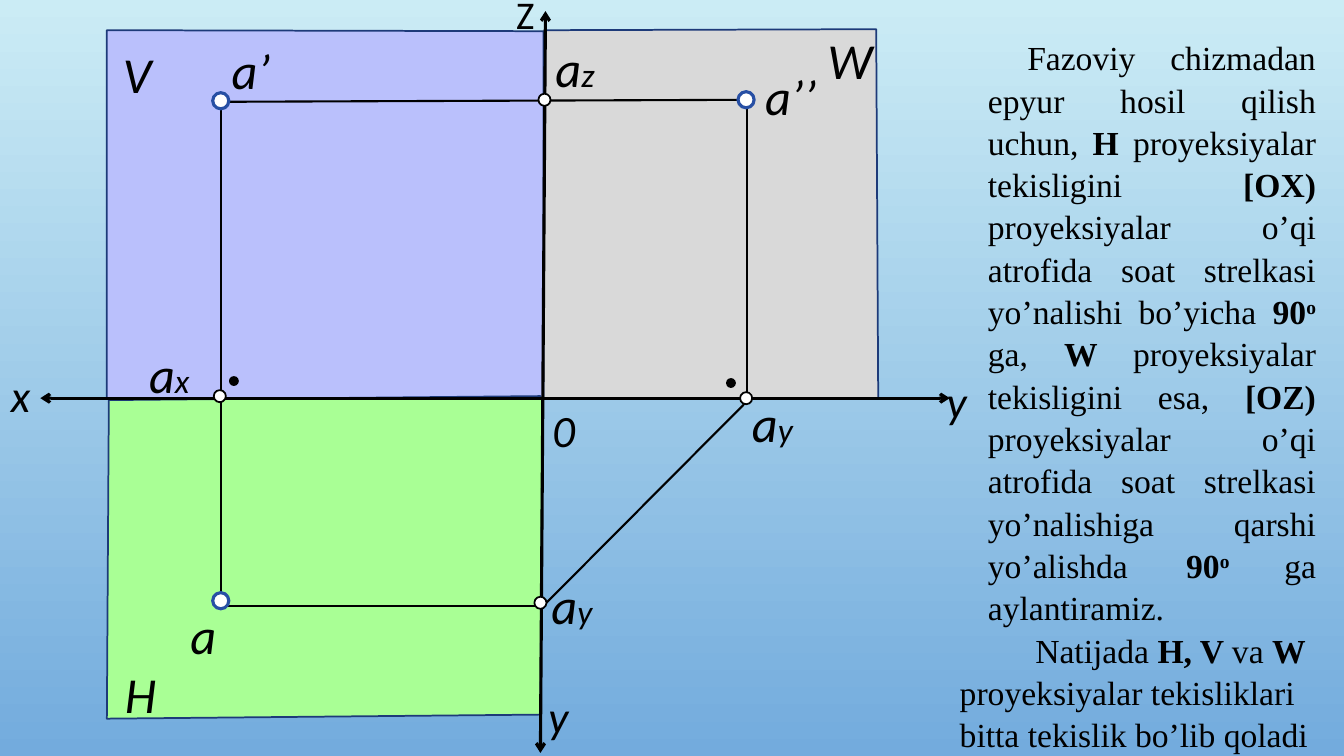
from dataclasses import dataclass
from typing import NamedTuple

from lxml import etree
from pptx import Presentation
from pptx import util as u
from pptx.dml.color import RGBColor
from pptx.enum import shapes, text
from pptx.oxml import ns

PX = 9144  # one px is a hundredth of an inch


@dataclass(frozen=True)
class Theme:
    sky: str = "CBECF5"
    sea: str = "73ABDD"
    ink: str = "000000"
    white: str = "FFFFFF"
    blue: str = "274FA4"
    edge: str = "1D3A79"
    lilac: str = "BAC0FC"
    green: str = "A9FF95"
    grey: str = "D9D9D9"
    sans: str = "Calibri"
    serif: str = "Times New Roman"
    body: int = 24
    small: int = 28
    axis: int = 32
    point: int = 36


T = Theme()


class Plane(NamedTuple):
    fill: str
    dots: list


class Line(NamedTuple):
    x1: int
    y1: int
    x2: int
    y2: int
    axis: bool = False


class Dot(NamedTuple):
    x: int
    y: int
    size: int
    fill: str
    edge: str
    width: float


class Label(NamedTuple):
    x: int
    y: int
    w: int
    h: int
    main: str
    sub: str = ""
    size: int = T.point
    slant: bool = True


PLANES = [
    Plane(T.lilac, [(106, 30), (539, 31), (539, 396), (106, 396)]),
    Plane(T.green, [(108, 397), (536, 393), (538, 398), (536, 709), (106, 713)]),
    Plane(T.grey, [(540, 30), (869, 29), (871, 395), (539, 395)]),
]
LINES = [
    Line(40, 395, 942, 395, True),
    Line(536, 747, 541, 11, True),
    Line(219, 601, 219, 99),
    Line(219, 601, 537, 601),
    Line(537, 603, 742, 397),
    Line(748, 99, 220, 101),
    Line(741, 397, 741, 102),
]
RINGS = [Dot(x, y, 16, T.white, T.blue, 2.25)
         for x, y in [(211, 92), (211, 588), (732, 91)]]
NODES = [Dot(x, y, 12, T.white, T.ink, 1.25)
         for x, y in [(734, 389), (534, 93), (212, 387), (530, 592)]]
MARKS = [Dot(x, y, 8, T.ink, T.ink, 1.25) for x, y in [(228, 374), (721, 376)]]
LABELS = [
    Label(1, 360, 40, 64, "x", size=T.axis),
    Label(502, -15, 89, 57, "Z", size=T.small, slant=False),
    Label(534, 678, 80, 64, "y", size=T.axis),
    Label(538, 395, 89, 64, "0", size=T.axis),
    Label(929, 366, 48, 64, "y", size=T.axis),
    Label(179, 594, 59, 71, "a"),
    Label(220, 34, 59, 71, "a’"),
    Label(749, 60, 83, 71, "a’’"),
    Label(112, 38, 51, 71, "V"),
    Label(114, 653, 55, 71, "H"),
    Label(811, 24, 66, 71, "W"),
    Label(537, 565, 102, 71, "a", "y"),
    Label(736, 384, 72, 71, "a", "y"),
    Label(138, 335, 71, 71, "a", "х"),
    Label(541, 32, 72, 71, "a", "z"),
]

# Stars switch bold on and off; a caret opens and closes a superscript
STORY = [
    "Fazoviy chizmadan epyur hosil qilish uchun, *H *proyeksiyalar tekisligini "
    "*[OX) *proyeksiyalar o’qi atrofida soat strelkasi yo’nalishi bo’yicha "
    "*90^o ^*ga, *W *proyeksiyalar tekisligini esa, *[OZ) *proyeksiyalar o’qi "
    "atrofida soat strelkasi yo’nalishiga qarshi yo’alishda *90^o ^*ga aylantiramiz.",
    "Natijada *H, V *va *W *proyeksiyalar tekisliklari bitta tekislik bo’lib qoladi",
]


def rgb(code: str) -> RGBColor:
    return RGBColor.from_string(code)


def paint(shape, fill: str, edge: str, width: float) -> None:
    shape.shadow.inherit = False
    shape.fill.solid()
    shape.fill.fore_color.rgb = rgb(fill)
    shape.line.color.rgb = rgb(edge)
    shape.line.width = u.Pt(width)


def draw_plane(slide, plane: Plane) -> None:
    path = slide.shapes.build_freeform(*plane.dots[0], scale=PX)
    path.add_line_segments(plane.dots[1:], close=True)
    paint(path.convert_to_shape(), plane.fill, T.edge, 1.25)


def draw_line(slide, line: Line) -> None:
    ends = [v * PX for v in line[:4]]
    link = slide.shapes.add_connector(shapes.MSO_CONNECTOR.STRAIGHT, *ends)
    link.line.color.rgb = rgb(T.ink)
    link.line.width = u.Pt(2.25 if line.axis else 1.5)
    if line.axis:
        stroke = link.line._get_or_add_ln()
        for tip in ("a:headEnd", "a:tailEnd"):
            etree.SubElement(stroke, ns.qn(tip), type="arrow")
    etree.SubElement(link._element.spPr, ns.qn("a:effectLst"))


def draw_dot(slide, dot: Dot) -> None:
    box = [v * PX for v in (dot.x, dot.y, dot.size, dot.size)]
    oval = slide.shapes.add_shape(shapes.MSO_SHAPE.OVAL, *box)
    paint(oval, dot.fill, dot.edge, dot.width)


def add_box(slide, x: int, y: int, w: int, h: int):
    box = slide.shapes.add_textbox(x * PX, y * PX, w * PX, h * PX)
    box.text_frame.word_wrap = True
    return box.text_frame


def add_run(para, words: str, face: str, size: int):
    run = para.add_run()
    run.text = words
    run.font.name = face
    run.font.size = u.Pt(size)
    run.font.color.rgb = rgb(T.ink)
    return run


def draw_label(slide, label: Label) -> None:
    para = add_box(slide, *label[:4]).paragraphs[0]
    for words, size in ((label.main, label.size), (label.sub, T.body)):
        if words:
            add_run(para, words, T.sans, size).font.italic = label.slant


def draw_story(slide) -> None:
    frame = add_box(slide, 942, 30, 381, 697)
    first, last = frame.paragraphs[0], frame.add_paragraph()
    first.alignment = text.PP_ALIGN.JUSTIFY
    for para, words, left, right, indent in (
            (first, STORY[0], 28, 8, 39), (last, STORY[1], 0, 0, 75)):
        para.line_spacing = 1.05
        props = para._p.get_or_add_pPr()
        for key, size in (("marL", left), ("marR", right), ("indent", indent)):
            props.set(key, str(size * PX))
        for i, part in enumerate(words.split("*")):
            for j, piece in enumerate(part.split("^")):
                if piece:
                    run = add_run(para, piece, T.serif, T.body)
                    run.font.bold = i % 2 == 1
                    if j % 2:
                        run.font._element.set("baseline", "30000")


def main() -> None:
    deck = Presentation()
    deck.slide_width, deck.slide_height = 1333 * PX, 750 * PX
    slide = deck.slides.add_slide(deck.slide_layouts[6])

    # Background
    fill = slide.background.fill
    fill.gradient()
    fill.gradient_angle = 270
    for stop, code in zip(fill.gradient_stops, (T.sky, T.sea)):
        stop.color.rgb = rgb(code)

    # Explanation, then the drawing from back to front
    draw_story(slide)
    for draw, items in ((draw_plane, PLANES), (draw_line, LINES),
                        (draw_dot, RINGS + NODES + MARKS), (draw_label, LABELS)):
        for item in items:
            draw(slide, item)

    deck.save("out.pptx")


if __name__ == "__main__":
    main()
